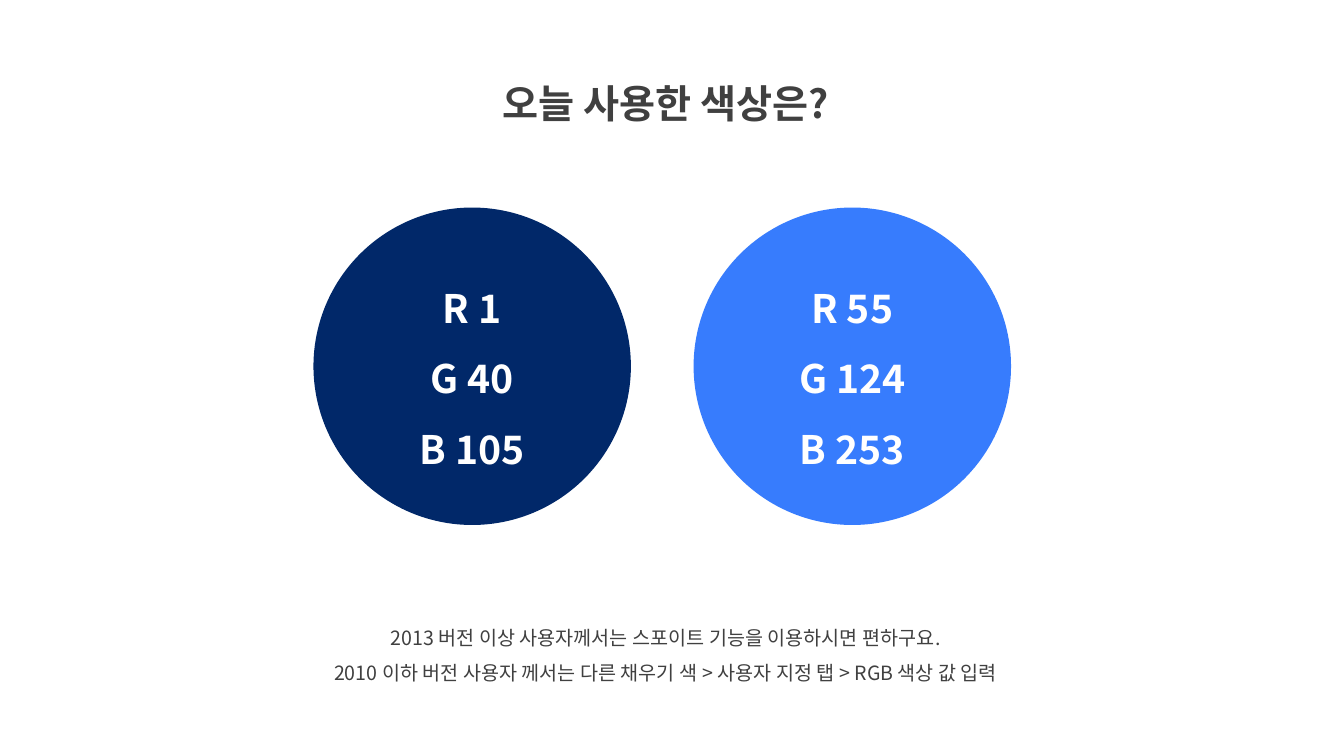
"""Build a slide that lists the RGB values of the two colours used today."""
import pptx
import pptx.util
import pptx.dml.color
import pptx.enum.shapes
import pptx.enum.text
import pptx.oxml.ns
import lxml.etree

Cm = pptx.util.Cm
RGBColor = pptx.dml.color.RGBColor
NAVY = RGBColor(0x01, 0x28, 0x69)
BLUE = RGBColor(0x37, 0x7C, 0xFD)
WHITE = RGBColor(0xFF, 0xFF, 0xFF)
GRAY = RGBColor(0x40, 0x40, 0x40)
FONT = "Noto Sans CJK KR"


def write(frame, lines, size, color, bold, anchor):
    frame.word_wrap = True
    frame.vertical_anchor = anchor
    for i, line in enumerate(lines):
        para = frame.paragraphs[0] if i == 0 else frame.add_paragraph()
        para.alignment = pptx.enum.text.PP_ALIGN.CENTER
        para.line_spacing = 1.5
        para.space_before = pptx.util.Pt(0)
        run = para.add_run()
        run.text = line
        run.font.name = FONT
        run.font.size = pptx.util.Pt(size)
        run.font.bold = bold
        run.font.color.rgb = color
        east = lxml.etree.SubElement(run.font._element, pptx.oxml.ns.qn("a:ea"))
        east.set("typeface", FONT)


deck = pptx.Presentation()
deck.slide_width = Cm(33.87)
deck.slide_height = Cm(19.05)
slide = deck.slides.add_slide(deck.slide_layouts[5])
TOP = pptx.enum.text.MSO_ANCHOR.TOP
MIDDLE = pptx.enum.text.MSO_ANCHOR.MIDDLE
GROW = pptx.enum.text.MSO_AUTO_SIZE.SHAPE_TO_FIT_TEXT

title = slide.shapes.title
title.left, title.top = Cm(10.9), Cm(1.27)
title.width, title.height = Cm(11.76), Cm(1.83)
title.text_frame.auto_size = GROW
write(title.text_frame, ["오늘 사용한 색상은?"], 28, GRAY, True, TOP)

for left, color in ((7.9, NAVY), (17.48, BLUE)):
    disc = slide.shapes.add_shape(
        pptx.enum.shapes.MSO_SHAPE.OVAL, Cm(left), Cm(5.23), Cm(8), Cm(8))
    disc.shadow.inherit = False
    disc.fill.solid()
    disc.fill.fore_color.rgb = color
    disc.line.fill.background()
    lines = [f"{name} {value}" for name, value in zip("RGB", color)]
    write(disc.text_frame, lines, 28, WHITE, True, MIDDLE)

note = slide.shapes.add_textbox(Cm(6.63), Cm(15.34), Cm(20.29), Cm(2.06))
note.text_frame.auto_size = GROW
tips = [
    "2013 버전 이상 사용자께서는 스포이트 기능을 이용하시면 편하구요.",
    "2010 이하 버전 사용자 께서는 다른 채우기 색 > 사용자 지정 탭 > RGB 색상 값 입력",
]
write(note.text_frame, tips, 14, GRAY, False, TOP)

deck.save("out.pptx")
